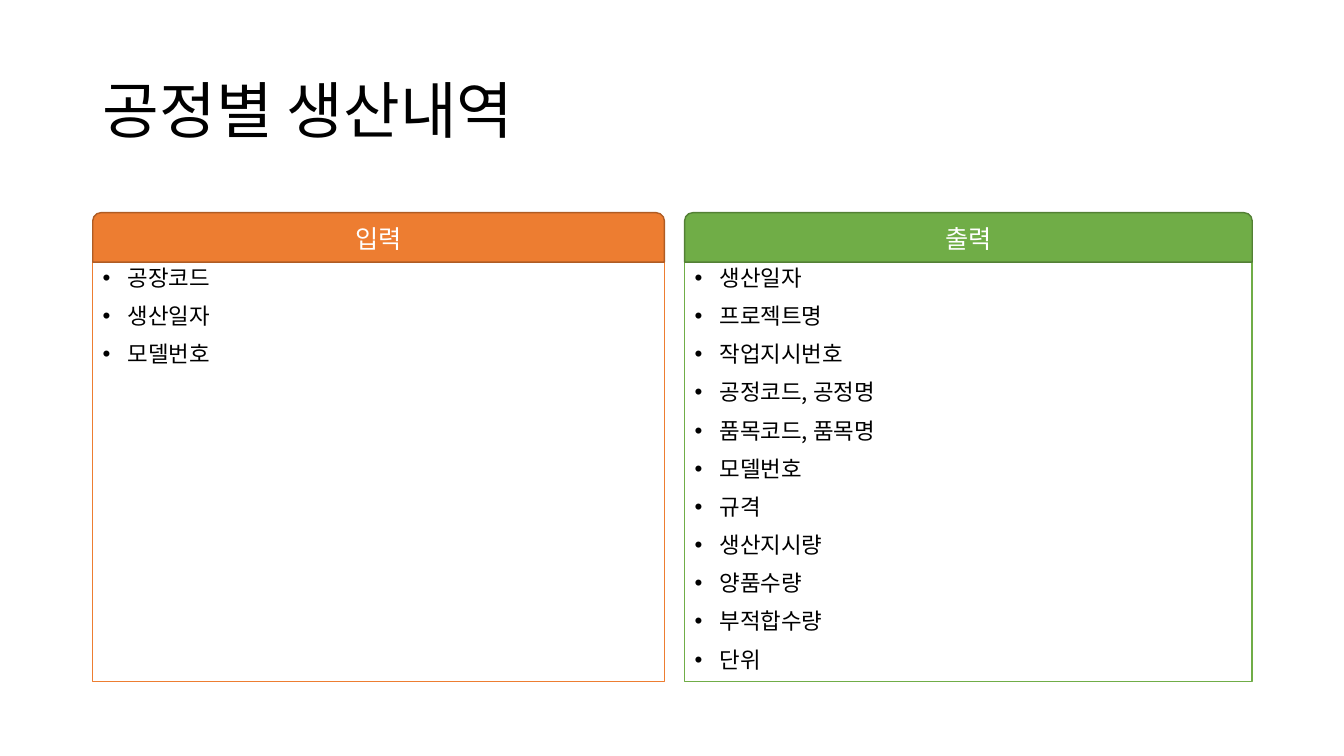
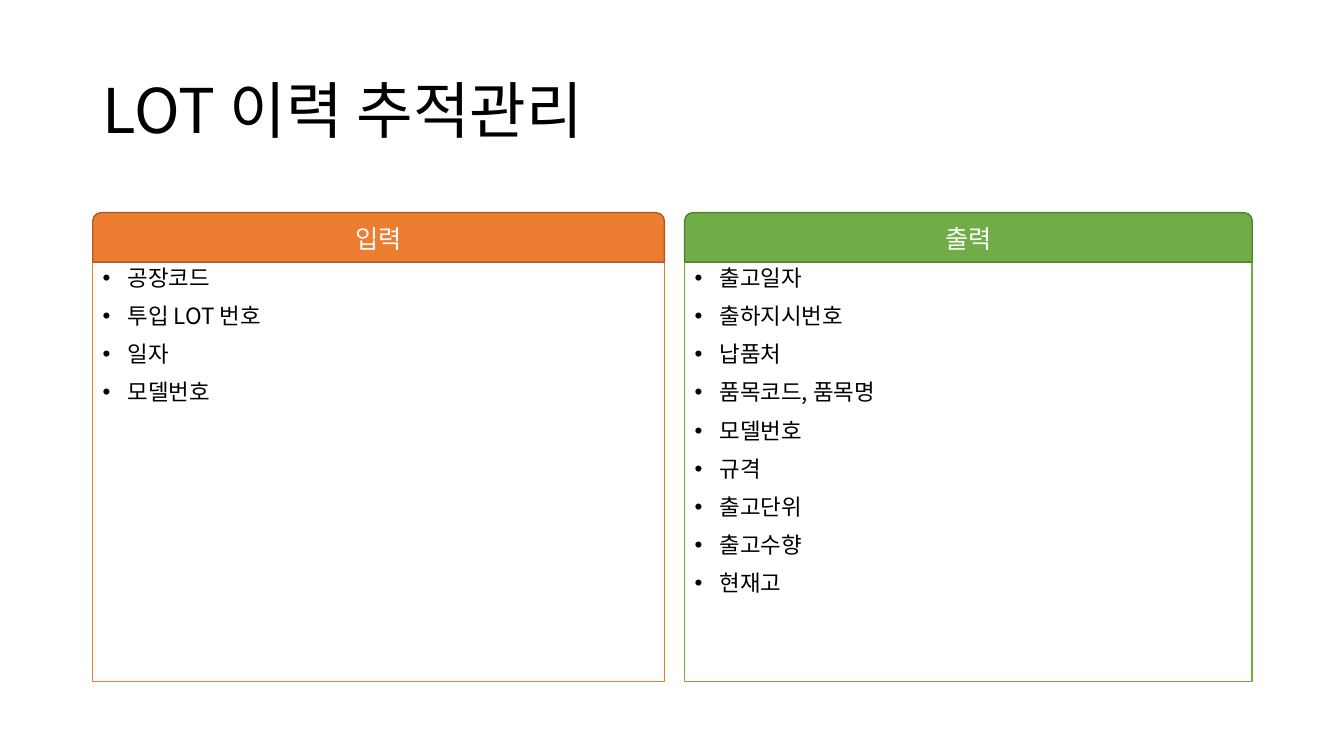
"""Build two slides that list the input and output fields of production screens."""
from lxml.etree import SubElement
from pptx import Presentation
from pptx.dml.color import RGBColor
from pptx.enum.shapes import MSO_SHAPE
from pptx.enum.text import MSO_ANCHOR, MSO_AUTO_SIZE, PP_ALIGN
from pptx.oxml.ns import qn
from pptx.util import Inches, Pt

FONT = "Noto Sans CJK KR"
COLORS = {
    "text": "000000",
    "white": "FFFFFF",
    "input": "ED7D31",
    "input_edge": "AF5C24",
    "output": "70AD47",
    "output_edge": "538035",
}
MARGIN = 0.92
HEADER_TOP, HEADER_HEIGHT = 2.11, 0.49
LIST_TOP, LIST_HEIGHT = HEADER_TOP + HEADER_HEIGHT, 4.16
PANELS = [
    ("input", "입력", MARGIN, 5.67),
    ("output", "출력", 6.79, 5.63),
]
SLIDES = [
    {
        "title": "공정별 생산내역",
        "input": ["공장코드", "생산일자", "모델번호"],
        "output": [
            "생산일자", "프로젝트명", "작업지시번호", "공정코드, 공정명",
            "품목코드, 품목명", "모델번호", "규격", "생산지시량",
            "양품수량", "부적합수량", "단위",
        ],
    },
    {
        "title": "LOT 이력 추적관리",
        "input": ["공장코드", "투입 LOT 번호", "일자", "모델번호"],
        "output": [
            "출고일자", "출하지시번호", "납품처", "품목코드, 품목명",
            "모델번호", "규격", "출고단위", "출고수향", "현재고",
        ],
    },
]


def add_text(paragraph, text, size, color, alignment=PP_ALIGN.LEFT):
    paragraph.alignment = alignment
    run = paragraph.add_run()
    run.text = text
    run.font.size = Pt(size)
    run.font.name = FONT
    run.font.color.rgb = RGBColor.from_string(COLORS[color])
    SubElement(run.font._element, qn("a:ea"), typeface=FONT)


def add_box(slide, preset, left, top, width, height, fill, line, anchor):
    shape = slide.shapes.add_shape(
        preset, Inches(left), Inches(top), Inches(width), Inches(height)
    )
    shape.shadow.inherit = False
    shape.fill.solid()
    shape.fill.fore_color.rgb = RGBColor.from_string(COLORS[fill])
    shape.line.color.rgb = RGBColor.from_string(COLORS[line])
    shape.line.width = Pt(1)
    shape.text_frame.word_wrap = True
    shape.text_frame.vertical_anchor = anchor
    return shape.text_frame


presentation = Presentation()
presentation.slide_width = Inches(13.33)
presentation.slide_height = Inches(7.5)

for content in SLIDES:
    slide = presentation.slides.add_slide(presentation.slide_layouts[5])
    title = slide.shapes.title
    title.left, title.top = Inches(MARGIN), Inches(0.4)
    title.width, title.height = Inches(11.5), Inches(1.45)
    title.text_frame.auto_size = MSO_AUTO_SIZE.NONE
    title.text_frame.vertical_anchor = MSO_ANCHOR.MIDDLE
    title_paragraph = title.text_frame.paragraphs[0]
    title_paragraph.line_spacing = 0.9
    add_text(title_paragraph, content["title"], 44, "text")

    for name, heading, left, width in PANELS:
        field_frame = add_box(
            slide, MSO_SHAPE.RECTANGLE, left, LIST_TOP, width, LIST_HEIGHT,
            "white", name, MSO_ANCHOR.TOP,
        )
        for index, field in enumerate(content[name]):
            paragraph = field_frame.add_paragraph() if index else field_frame.paragraphs[0]
            paragraph.line_spacing = 0.9
            paragraph.space_before = Pt(10)
            add_text(paragraph, field, 16, "text")
            properties = paragraph._p.get_or_add_pPr()
            properties.set("marL", str(Inches(0.25)))
            properties.set("indent", str(-Inches(0.25)))
            SubElement(properties, qn("a:buFont"), typeface="Arial")
            SubElement(properties, qn("a:buChar"), char="•")

        header_frame = add_box(
            slide, MSO_SHAPE.ROUND_2_SAME_RECTANGLE, left, HEADER_TOP, width, HEADER_HEIGHT,
            name, f"{name}_edge", MSO_ANCHOR.MIDDLE,
        )
        add_text(header_frame.paragraphs[0], heading, 18, "white", PP_ALIGN.CENTER)

presentation.save("out.pptx")
